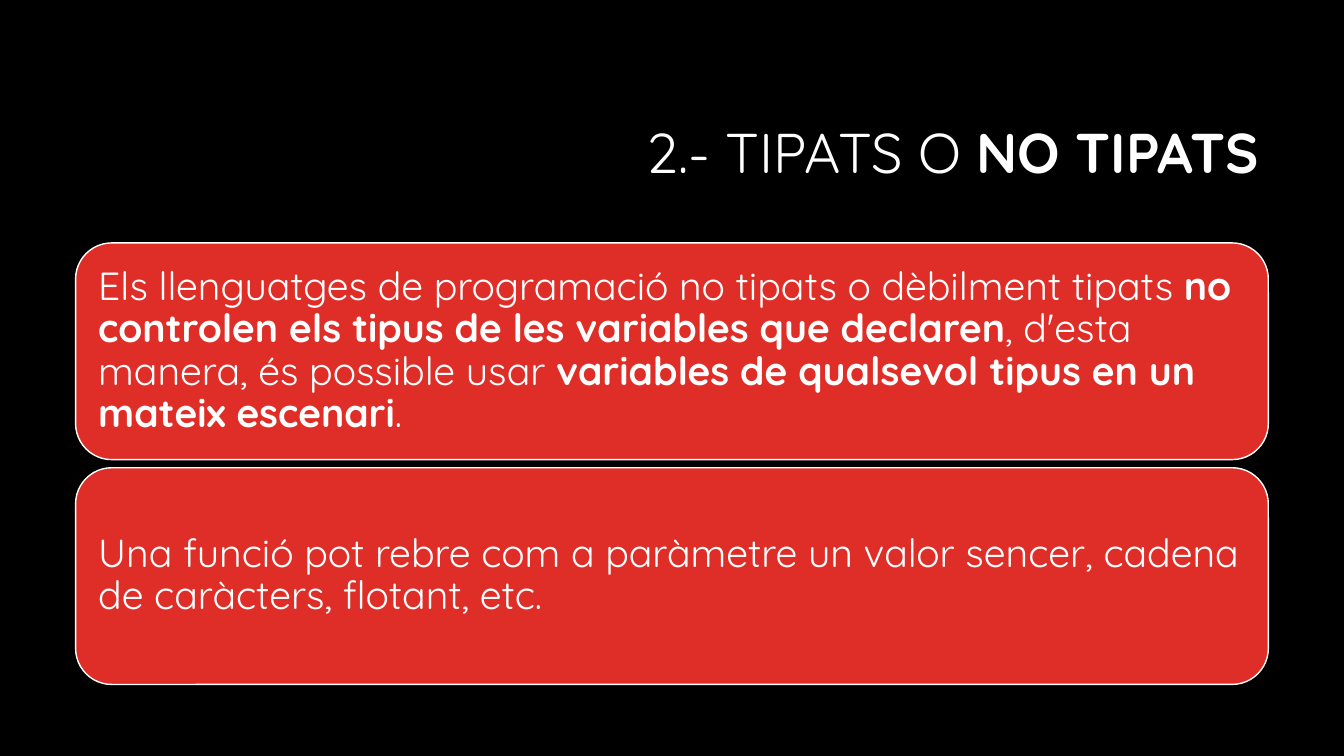
from pptx import Presentation
from pptx.dml.color import RGBColor
from pptx.enum.shapes import MSO_SHAPE
from pptx.enum.text import MSO_ANCHOR, MSO_AUTO_SIZE, PP_ALIGN
from pptx.util import Inches, Pt

BLACK = RGBColor(0x00, 0x00, 0x00)
WHITE = RGBColor(0xFF, 0xFF, 0xFF)
RED = RGBColor(0xDF, 0x2E, 0x28)

TITLE = [("2.- TIPATS O ", False), ("NO TIPATS", True)]
CARDS = [
    [
        ("Els llenguatges de programació no tipats o dèbilment tipats ", False),
        ("no controlen els tipus de les variables que declaren", True),
        (", d'esta manera, és possible usar ", False),
        ("variables de qualsevol tipus en un mateix escenari", True),
        (".", False),
    ],
    [("Una funció pot rebre com a paràmetre un valor sencer, "
      "cadena de caràcters, flotant, etc.", False)],
]
LEFT, TOP, WIDTH, HEIGHT, STEP = 0.75, 2.41, 11.83, 2.15, 2.23


def apply(item, values):
    for name, value in values.items():
        setattr(item, name, value)


class Deck:
    font = "Quicksand"

    def __init__(self):
        self.deck = Presentation()
        apply(self.deck, {"slide_width": Inches(13.33), "slide_height": Inches(7.5)})
        self.slide = self.deck.slides.add_slide(self.deck.slide_layouts[5])
        fill = self.slide.background.fill
        fill.solid()
        fill.fore_color.rgb = BLACK

    def label(self, shape, runs, size, align, inset):
        frame = shape.text_frame
        apply(frame, {
            "word_wrap": True,
            "auto_size": MSO_AUTO_SIZE.NONE,
            "vertical_anchor": MSO_ANCHOR.MIDDLE,
            "margin_left": Inches(inset[0]),
            "margin_right": Inches(inset[0]),
            "margin_top": Inches(inset[1]),
            "margin_bottom": Inches(inset[1]),
        })
        para = frame.paragraphs[0]
        apply(para, {"alignment": align, "line_spacing": 0.9})
        for text, bold in runs:
            run = para.add_run()
            run.text = text
            apply(run.font, {"name": self.font, "size": Pt(size), "bold": bold})
            run.font.color.rgb = WHITE

    def title(self, runs, left, top, width, height):
        shape = self.slide.shapes.title
        apply(shape, {
            "left": Inches(left), "top": Inches(top),
            "width": Inches(width), "height": Inches(height),
        })
        self.label(shape, runs, 40, PP_ALIGN.RIGHT, (0.1, 0.05))

    def card(self, runs, left, top, width, height):
        shape = self.slide.shapes.add_shape(
            MSO_SHAPE.ROUNDED_RECTANGLE,
            Inches(left), Inches(top), Inches(width), Inches(height))
        shape.shadow.inherit = False
        shape.fill.solid()
        shape.fill.fore_color.rgb = RED
        shape.line.color.rgb = WHITE
        shape.line.width = Pt(1)
        self.label(shape, runs, 28, PP_ALIGN.LEFT, (0.12, 0.12))


def main():
    page = Deck()
    page.title(TITLE, 3.17, 0.84, 9.42, 1.41)
    for row, runs in enumerate(CARDS):
        page.card(runs, LEFT, TOP + row * STEP, WIDTH, HEIGHT)
    page.deck.save("out.pptx")


if __name__ == "__main__":
    main()
